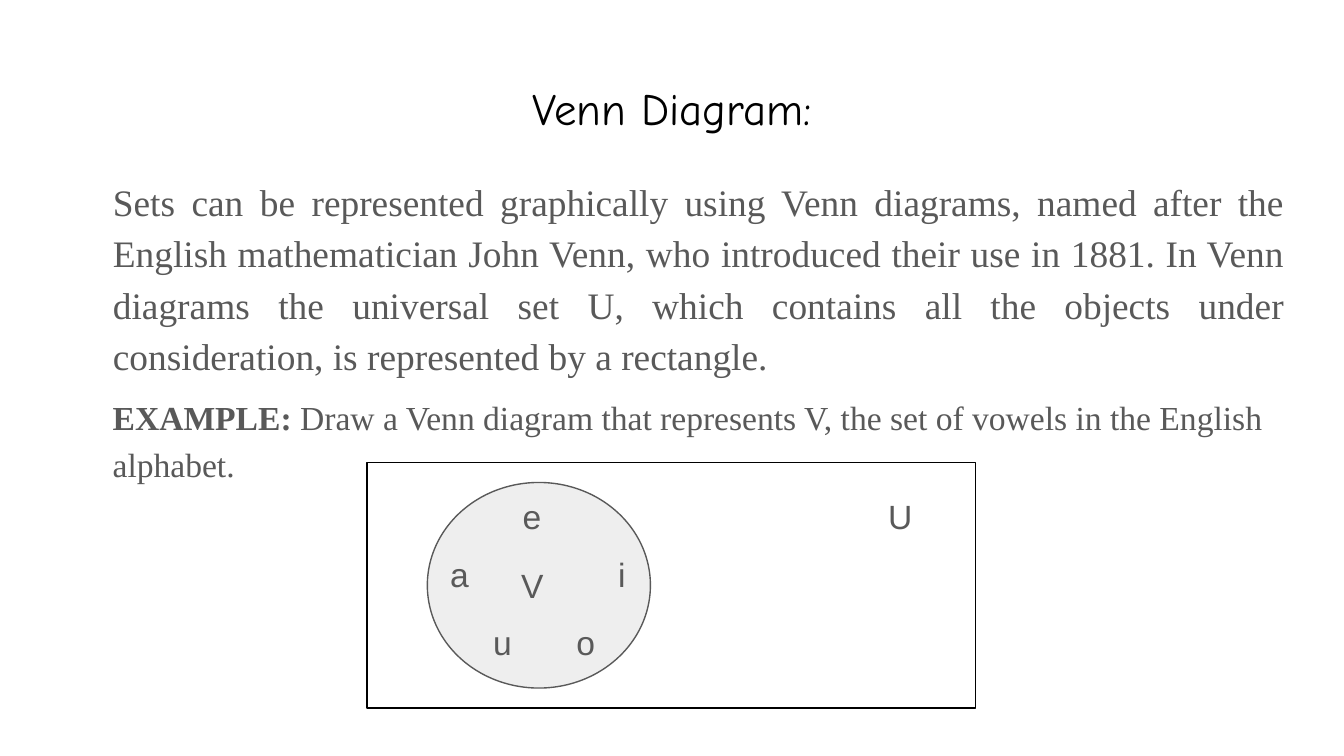
"""Build a slide that explains Venn diagrams with the set of vowels."""
from pptx import Presentation
from pptx import util as u
from pptx.dml.color import RGBColor
from pptx.enum import shapes, text
from pptx.oxml import parse_xml
from pptx.oxml.ns import nsdecls

COLORS = {"title": "000000", "body": "595959", "paper": "FFFFFF", "circle": "EEEEEE"}
TITLE = "Venn Diagram:"
INTRO = (
    "Sets can be represented graphically using Venn diagrams, named after the "
    "English mathematician John Venn, who introduced their use in 1881. In Venn "
    "diagrams the universal set U, which contains all the objects under "
    "consideration, is represented by a rectangle."
)
EXAMPLE = [
    ("EXAMPLE:", True),
    (" Draw a Venn diagram that represents V, the set of vowels in the English alphabet.", False),
]
OUTLINES = [
    (shapes.MSO_SHAPE.RECTANGLE, (2.73, 3.44, 4.53, 1.83), None, "title"),
    (shapes.MSO_SHAPE.OVAL, (3.18, 3.59, 1.66, 1.53), "circle", "body"),
]
LETTERS = [
    ("a\ti", (3.25, 4.02, 1.59, 0.5), 1.25),
    ("u\to", (3.57, 4.53, 1.21, 0.5), 0.62),
    ("e", (3.79, 3.59, 1.4, 0.5), None),
    ("U", (6.51, 3.59, 0.66, 0.5), None),
    ("V", (3.78, 4.1, 0.46, 0.5), None),
]


def color(name):
    return RGBColor.from_string(COLORS[name])


def place(box, area):
    box.left, box.top, box.width, box.height = map(u.Inches, area)


def write(box, spans, font, size, ink="body", align=text.PP_ALIGN.LEFT,
          spacing=1.0, gap=0, anchor=text.MSO_ANCHOR.TOP):
    frame = box.text_frame
    frame.word_wrap = True
    frame.auto_size = text.MSO_AUTO_SIZE.NONE
    frame.vertical_anchor = anchor
    frame.margin_left = frame.margin_right = u.Inches(0.1)
    frame.margin_top = frame.margin_bottom = u.Inches(0.1)
    para = frame.paragraphs[0]
    para.alignment = align
    para.line_spacing = spacing
    para.space_before = para.space_after = u.Pt(gap)
    for words, bold in spans:
        span = para.add_run()
        span.text = words
        span.font.name = font
        span.font.size = u.Pt(size)
        span.font.bold = bold
        span.font.color.rgb = color(ink)
    return para


def remove_bullet(para):
    properties = para._p.get_or_add_pPr()
    properties.set("marL", "0")
    properties.set("indent", "0")
    properties.append(parse_xml(f"<a:buNone {nsdecls('a')}/>"))


def add_tab(para, stop):
    para._p.get_or_add_pPr().append(parse_xml(
        f'<a:tabLst {nsdecls("a")}><a:tab pos="{u.Inches(stop)}" algn="l"/></a:tabLst>'))


def add_outline(page, kind, area, fill, line):
    shape = page.shapes.add_shape(kind, *map(u.Inches, area))
    shape.shadow.inherit = False
    if fill:
        shape.fill.solid()
        shape.fill.fore_color.rgb = color(fill)
    else:
        shape.fill.background()
    shape.line.color.rgb = color(line)
    shape.line.width = u.Pt(0.75)


def main():
    deck = Presentation()
    deck.slide_width = u.Inches(10)
    deck.slide_height = deck.slide_width * 9 // 16
    page = deck.slides.add_slide(deck.slide_layouts[1])
    page.background.fill.solid()
    page.background.fill.fore_color.rgb = color("paper")

    title, body = page.placeholders
    place(title, (0.34, 0.36, 9.32, 0.74))
    write(title, [(TITLE, False)], "Comic Neue", 24, "title",
          text.PP_ALIGN.CENTER, 0.8, anchor=text.MSO_ANCHOR.BOTTOM)
    place(body, (0.74, 1.18, 8.92, 1.7))
    intro = write(body, [(INTRO, False)], "Times New Roman", 20,
                  align=text.PP_ALIGN.JUSTIFY, spacing=1.15)
    remove_bullet(intro)

    example = page.shapes.add_textbox(*map(u.Inches, (0.74, 2.81, 9.06, 0.85)))
    write(example, EXAMPLE, "Times New Roman", 18, spacing=1.15, gap=12)

    for outline in OUTLINES:
        add_outline(page, *outline)
    for letters, area, stop in LETTERS:
        box = page.shapes.add_textbox(*map(u.Inches, area))
        para = write(box, [(letters, False)], "Arial", 18)
        if stop:
            add_tab(para, stop)

    deck.save("out.pptx")


if __name__ == "__main__":
    main()
